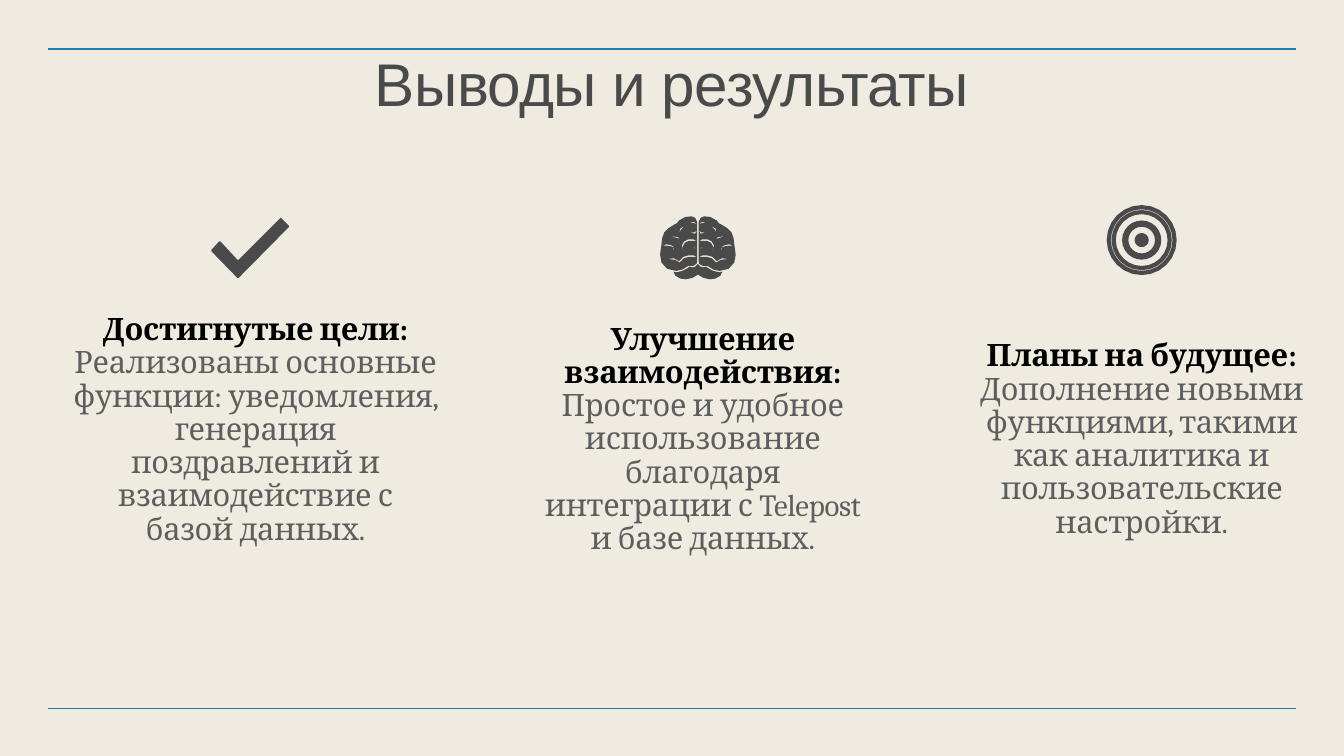
import math

from lxml import etree
from pptx import Presentation
from pptx import util as u
from pptx.dml.color import RGBColor
from pptx.enum import shapes, text
from pptx.oxml.ns import qn

PX = 12700  # EMU per px, on a 1920 x 1080 px slide
FINE = 100  # outline steps per px
COLORS = {"paper": "F0EBE0", "rule": "227AAF", "title": "4A4A4A",
          "heading": "000000", "body": "5E5E5E", "icon": "4B4A4B"}
TITLE = {"name": "Arial", "size": u.Pt(86), "bold": False}
HEADING = {"name": "Cambria", "size": u.Pt(44), "bold": True}
BODY = {**HEADING, "bold": False}

# Check mark outline, from the corner of its box
CHECK = [(99, 0), (39, 60), (37, 60), (13, 34), (11, 34), (0, 46), (0, 48),
         (37, 86), (39, 86), (111, 13), (111, 12)]
# Half of the brain: distance from the middle line, distance from the top
HEMISPHERE = [(1, 8), (4, 2), (9, 0), (18, 1), (27, 6), (30, 10), (34, 12),
              (42, 17), (48, 23), (51, 31), (52, 40), (53, 47), (54, 55),
              (52, 66), (44, 75), (31, 78), (22, 76), (14, 71), (7, 71),
              (2, 68), (1, 64)]
CEREBELLUM = [(0, 68), (4, 72), (7, 73), (12, 72), (16, 75), (22, 78),
              (31, 80), (35, 79), (32, 85), (25, 89), (17, 90), (8, 88),
              (1, 84), (0, 83)]
GROOVES = [
    [(1, 11), (6, 8), (12, 8)],
    [(1, 20), (5, 23), (11, 23)],
    [(1, 36), (6, 33), (14, 33), (20, 36), (23, 42), (22, 47), (19, 50)],
    [(24, 34), (28, 30), (40, 28)],
    [(1, 50), (4, 45), (10, 42)],
    [(1, 58), (6, 56), (14, 56), (21, 58), (27, 64), (34, 60), (44, 61)],
    [(19, 14), (25, 17), (27, 24)],
    [(34, 13), (31, 18), (29, 20)],
    [(51, 42), (45, 40), (39, 41), (35, 43), (34, 52)],
]
TARGET_RADII = [50, 44, 43, 37, 28, 19, 10]


def color(name):
    return RGBColor.from_string(COLORS[name])


def add_icon_shape(slide, contours, left, top):
    """One filled shape; a contour inside another one cuts a hole."""
    builder = None
    for contour in contours:
        start, *rest = [(x * FINE, y * FINE) for x, y in contour]
        if builder is None:
            builder = slide.shapes.build_freeform(*start, scale=PX / FINE)
        else:
            builder.move_to(*start)
        builder.add_line_segments(rest, close=True)
    icon = builder.convert_to_shape(left * PX, top * PX)
    icon.shadow.inherit = False
    icon.fill.solid()
    icon.fill.fore_color.rgb = color("icon")
    icon.line.fill.background()


def add_rule(slide, left, right, y, width):
    rule = slide.shapes.add_connector(
        shapes.MSO_CONNECTOR.STRAIGHT, left * PX, y * PX, right * PX, y * PX)
    rule.line.color.rgb = color("rule")
    rule.line.width = u.Pt(width)
    etree.SubElement(rule._element.spPr, qn("a:effectLst"))


def add_text(slide, box, parts, anchor, line_spacing, tracking):
    """Parts are (wording, font format, colour), one paragraph each."""
    frame = slide.shapes.add_textbox(*(n * PX for n in box)).text_frame
    settings = {"word_wrap": True, "vertical_anchor": anchor,
                "margin_left": 4 * PX, "margin_right": 4 * PX,
                "margin_top": 4 * PX, "margin_bottom": 4 * PX}
    for key, value in settings.items():
        setattr(frame, key, value)
    for index, (wording, font, ink) in enumerate(parts):
        paragraph = frame.add_paragraph() if index else frame.paragraphs[0]
        paragraph.alignment = text.PP_ALIGN.CENTER
        paragraph.line_spacing = line_spacing
        run = paragraph.add_run()
        run.text = wording
        for key, value in font.items():
            setattr(run.font, key, value)
        run.font.color.rgb = color(ink)
        run._r.get_or_add_rPr().set("spc", str(tracking))


def add_check(slide, left, top):
    add_icon_shape(slide, [CHECK], left, top)


def add_brain(slide, left, top):
    # Each groove runs out along its line and back just below it
    folds = [groove + [(x - 1, y + 2) for x, y in groove[-2:0:-1]]
             for groove in GROOVES]
    half = [HEMISPHERE, CEREBELLUM, *folds]
    contours = [[(54 + side * x, y) for x, y in contour]
                for side in (-1, 1) for contour in half]
    add_icon_shape(slide, contours, left, top)


def add_target(slide, left, top):
    angles = [math.tau * step / 24 for step in range(24)]
    circles = [[(50 + radius * math.cos(a), 50 + radius * math.sin(a))
                for a in angles] for radius in TARGET_RADII]
    add_icon_shape(slide, circles, left, top)


def add_column(slide, box, heading, body, add_icon, icon_at):
    """Icon offset is measured from the corner of the text box."""
    add_text(slide, box, [(heading, HEADING, "heading"), (body, BODY, "body")],
             text.MSO_ANCHOR.MIDDLE, 0.9, -40)
    add_icon(slide, box[0] + icon_at[0], box[1] + icon_at[1])


def main():
    deck = Presentation()
    deck.slide_width, deck.slide_height = 1920 * PX, 1080 * PX
    slide = deck.slides.add_slide(deck.slide_layouts[6])
    slide.background.fill.solid()
    slide.background.fill.fore_color.rgb = color("paper")

    # Frame and title
    add_rule(slide, 68, 1852, 70, 4)
    add_rule(slide, 68, 1852, 1012, 1)
    add_text(slide, (136, 82, 1648, 137),
             [("Выводы и результаты", TITLE, "title")],
             text.MSO_ANCHOR.TOP, 0.8, -90)

    # Three conclusions
    add_column(slide, (100, 431, 530, 368), "Достигнутые цели:",
               "Реализованы основные функции: уведомления, генерация "
               "поздравлений и взаимодействие с базой данных.",
               add_check, (202, -120))
    add_column(slide, (764, 445, 480, 367), "Улучшение взаимодействия:",
               "Простое и удобное использование благодаря интеграции "
               "с Telepost и базе данных.",
               add_brain, (179, -136))
    add_column(slide, (1377, 445, 508, 367), "Планы на будущее:",
               "Дополнение новыми функциями, такими как аналитика "
               "и пользовательские настройки.",
               add_target, (204, -152))
    deck.save("out.pptx")


if __name__ == "__main__":
    main()
